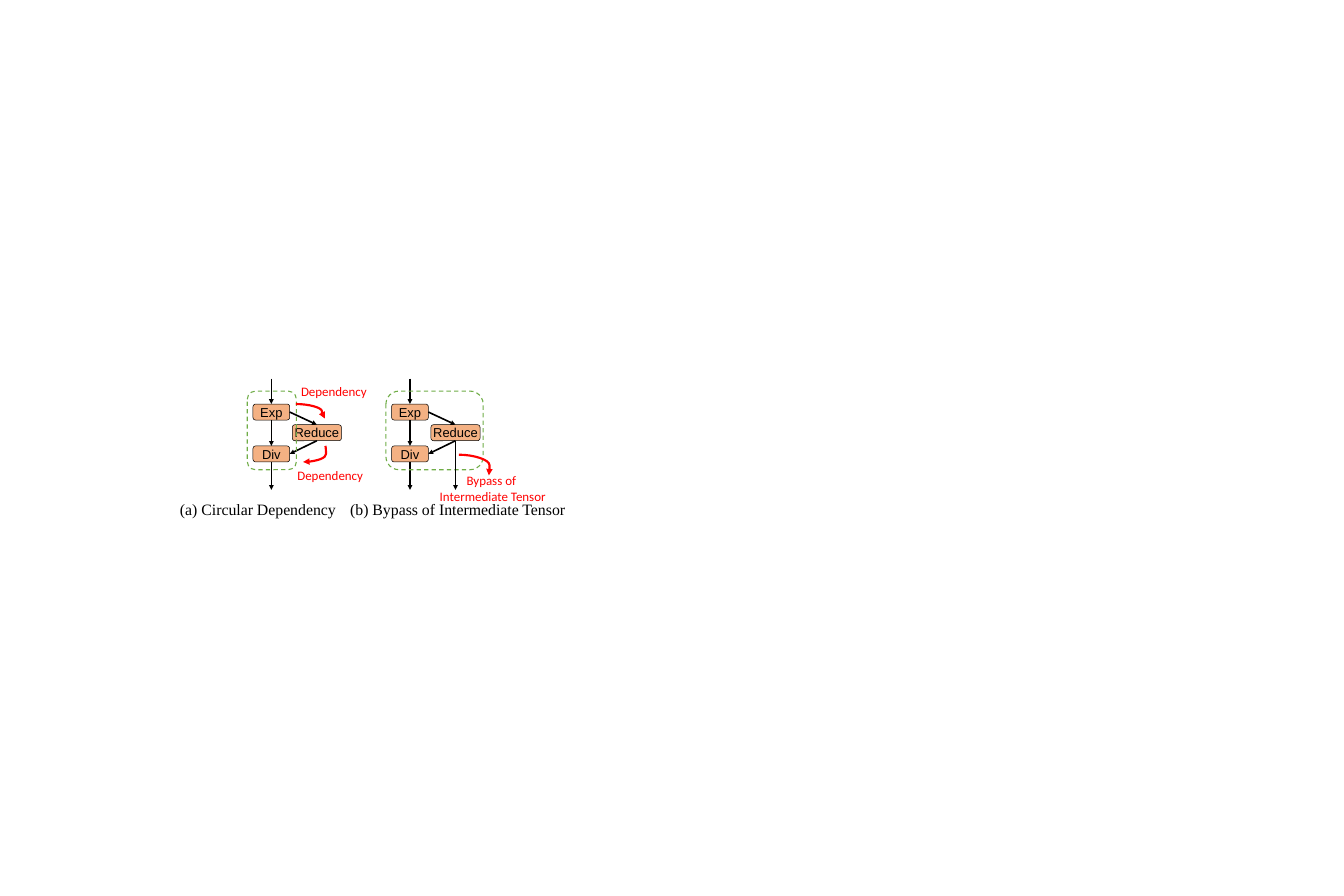
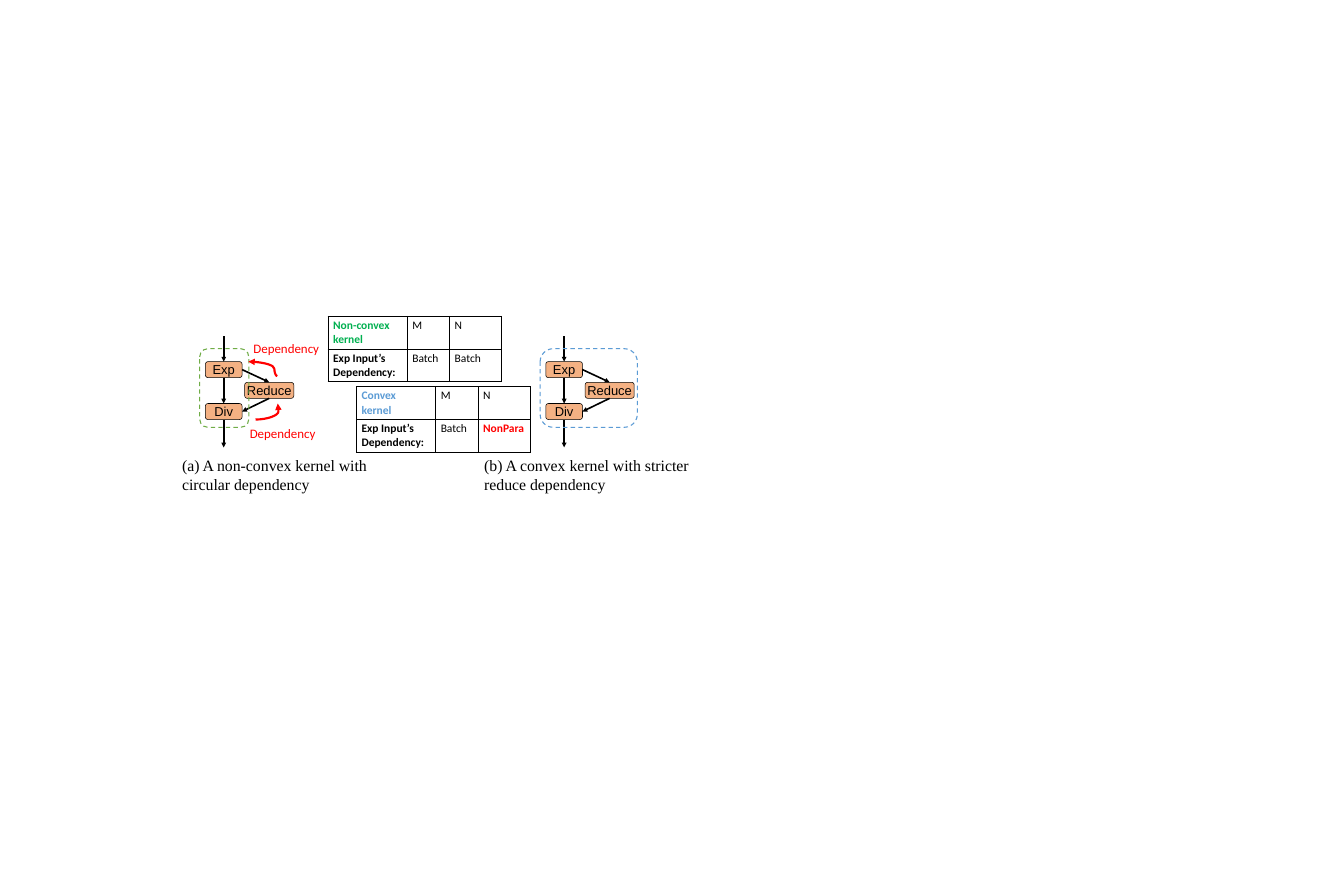
from lxml.etree import SubElement
from pptx import Presentation
from pptx.dml.color import RGBColor
from pptx.enum.dml import MSO_LINE
from pptx.enum.shapes import MSO_CONNECTOR as Connector, MSO_SHAPE
from pptx.enum.text import MSO_ANCHOR, MSO_AUTO_SIZE, PP_ALIGN as Align
from pptx.oxml import parse_xml
from pptx.oxml.ns import nsdecls, qn
from pptx.util import Inches, Pt

BLACK, RED, ORANGE = "000000", "FF0000", "F4B183"
GREEN, BLUE, TITLE_GREEN = "70AD47", "5B9BD5", "00B050"
NODE_FONT = {"name": "Arial", "size": Pt(18)}
NOTE_FONT = {"name": "Calibri", "size": Pt(18)}
CAPTION_FONT = {"name": "Times New Roman", "size": Pt(22)}
CELL_FONT = {"name": "Calibri", "size": Pt(16), "bold": False}
hex_color = RGBColor.from_string

NODE_HEIGHT = 0.31
NARROW, WIDE = 0.95, 1.88
# Offsets from the top left corner of the Exp node: left, top, width
NODES = {"Exp": (0, 0, 0.71), "Div": (0, 0.81, 0.71), "Reduce": (0.76, 0.4, 0.95)}
EDGES = [("Exp", 3, "Reduce", 0), ("Exp", 2, "Div", 0), ("Reduce", 2, "Div", 3)]
# Curve start, curve end, bend, label box, label, alignment
CIRCULAR = [
    ((1.4, 0.81), (0.97, 1.12), -0.03, (0.76, 1.18, 1.49, 0.4), "Dependency", Align.LEFT),
    ((0.83, 0), (1.39, 0.28), 0.9, (0.83, -0.45, 1.49, 0.4), "Dependency", Align.LEFT),
]
BYPASS = [
    ((1.3, 0.98), (1.88, 1.38), 1.02, (0.82, 1.28, 2.27, 0.71),
     "Bypass of \nIntermediate Tensor", Align.CENTER),
]

SLIDES = [
    {
        "kernels": [
            {"origin": (4.89, 7.81), "scope": (NARROW, GREEN), "notes": CIRCULAR,
             "arrow_end": "a:tailEnd", "caption": "(a) Circular Dependency",
             "caption_box": (3.38, 9.61, 3.33, 0.47)},
            {"origin": (7.57, 7.81), "scope": (WIDE, GREEN), "notes": BYPASS,
             "arrow_end": "a:tailEnd", "caption": "(b) Bypass of Intermediate Tensor",
             "caption_box": (6.67, 9.61, 4.41, 0.47)},
        ],
        "tables": [],
    },
    {
        "kernels": [
            {"origin": (3.97, 6.99), "scope": (NARROW, GREEN), "notes": CIRCULAR,
             "arrow_end": "a:headEnd",
             "caption": "(a) A non-convex kernel with circular dependency",
             "caption_box": (3.42, 8.76, 4.25, 0.84)},
            {"origin": (10.55, 6.99), "scope": (WIDE, BLUE), "notes": [],
             "arrow_end": "a:tailEnd",
             "caption": "(b) A convex kernel with stricter reduce dependency",
             "caption_box": (9.26, 8.76, 4.25, 0.84)},
        ],
        "tables": [
            (6.34, 6.11, "Non-convex\nkernel", TITLE_GREEN, "Batch", BLACK),
            (6.89, 7.47, "Convex\nkernel", BLUE, "NonPara", RED),
        ],
    },
]


def write(frame, text, font_format, color=BLACK, align=Align.LEFT):
    """Fill a text frame, one paragraph per line, in a single format."""
    frame.text = text
    for paragraph in frame.paragraphs:
        paragraph.alignment = align
        for run in paragraph.runs:
            for name, value in font_format.items():
                setattr(run.font, name, value)
            run.font.color.rgb = hex_color(color)


def add_arrow(slide, kind, start, end, color=BLACK, width=2.25, arrow_end="a:tailEnd"):
    points = [Inches(value) for value in (*start, *end)]
    arrow = slide.shapes.add_connector(kind, *points)
    arrow.line.color.rgb = hex_color(color)
    arrow.line.width = Pt(width)
    properties = arrow._element.spPr
    SubElement(properties.find(qn("a:ln")), qn(arrow_end), type="triangle")
    SubElement(properties, qn("a:effectLst"))
    return arrow


presentation = Presentation()
presentation.slide_width = Inches(25.98)
presentation.slide_height = Inches(17.32)

for content in SLIDES:
    slide = presentation.slides.add_slide(presentation.slide_layouts[6])

    for kernel in content["kernels"]:
        left, top = kernel["origin"]

        nodes = {}
        for label, (dx, dy, width) in NODES.items():
            node = slide.shapes.add_shape(
                MSO_SHAPE.ROUNDED_RECTANGLE, Inches(left + dx), Inches(top + dy),
                Inches(width), Inches(NODE_HEIGHT))
            node.shadow.inherit = False
            node.fill.solid()
            node.fill.fore_color.rgb = hex_color(ORANGE)
            node.line.color.rgb = hex_color(BLACK)
            node.line.width = Pt(0.75)
            node.text_frame.word_wrap = False
            node.text_frame.vertical_anchor = MSO_ANCHOR.MIDDLE
            write(node.text_frame, label, NODE_FONT, align=Align.CENTER)
            nodes[label] = node

        for source, source_side, target, target_side in EDGES:
            edge = add_arrow(slide, Connector.STRAIGHT, (left, top), (left, top))
            edge.begin_connect(nodes[source], source_side)
            edge.end_connect(nodes[target], target_side)

        stem = left + 0.71 / 2
        bottom = top + 1.66
        output = add_arrow(slide, Connector.STRAIGHT, (stem, top + 1.12), (stem, bottom))
        output.begin_connect(nodes["Div"], 2)
        entry = add_arrow(slide, Connector.STRAIGHT, (stem, top - 0.49), (stem, top))
        entry.end_connect(nodes["Exp"], 0)

        scope_width, scope_color = kernel["scope"]
        scope = slide.shapes.add_shape(
            MSO_SHAPE.ROUNDED_RECTANGLE, Inches(left - 0.11), Inches(top - 0.25),
            Inches(scope_width), Inches(1.52))
        scope.shadow.inherit = False
        scope.fill.background()
        scope.line.color.rgb = hex_color(scope_color)
        scope.line.width = Pt(1.5)
        scope.line.dash_style = MSO_LINE.DASH

        if kernel["notes"] is BYPASS:
            branch = left + 0.76 + 0.95 / 2
            side_output = add_arrow(slide, Connector.STRAIGHT, (branch, top + 0.71), (branch, bottom))
            side_output.begin_connect(nodes["Reduce"], 2)

        texts = [(kernel["caption_box"], kernel["caption"], CAPTION_FONT, BLACK, Align.LEFT)]
        for start, end, bend, (dx, dy, width, height), label, align in kernel["notes"]:
            curve = add_arrow(
                slide, Connector.CURVE, (left + start[0], top + start[1]),
                (left + end[0], top + end[1]), RED, 3, kernel["arrow_end"])
            guides = curve._element.spPr.find(qn("a:prstGeom")).get_or_add_avLst()
            SubElement(guides, qn("a:gd"), name="adj1", fmla=f"val {round(bend * 100000)}")
            texts.append(((left + dx, top + dy, width, height), label, NOTE_FONT, RED, align))

        for box, text, font_format, color, align in texts:
            text_box = slide.shapes.add_textbox(*[Inches(value) for value in box])
            # Only the two-line captions are tall enough to wrap
            text_box.text_frame.word_wrap = font_format is CAPTION_FONT and box[3] > 0.5
            text_box.text_frame.auto_size = MSO_AUTO_SIZE.SHAPE_TO_FIT_TEXT
            write(text_box.text_frame, text, font_format, color, align)

    for left, top, title, title_color, n_dependency, n_color in content["tables"]:
        rows = [
            [(title, title_color, True), ("M", BLACK, False), ("N", BLACK, False)],
            [("Exp Input’s Dependency:", BLACK, True), ("Batch", BLACK, False),
             (n_dependency, n_color, n_color == RED)],
        ]
        table = slide.shapes.add_table(
            2, 3, Inches(left), Inches(top), Inches(3.36), Inches(1.27)).table
        table.first_row = table.horz_banding = False
        for column, width in zip(table.columns, (1.53, 0.82, 1.01)):
            column.width = Inches(width)
        for row, values in zip(table.rows, rows):
            for cell, (text, color, bold) in zip(row.cells, values):
                write(cell.text_frame, text, CELL_FONT | {"bold": bold}, color)
                cell.fill.background()
                properties = cell._tc.get_or_add_tcPr()
                for position, side in enumerate(("lnL", "lnR", "lnT", "lnB")):
                    properties.insert(position, parse_xml(
                        f'<a:{side} {nsdecls("a")} w="{Pt(1)}"><a:solidFill>'
                        f'<a:srgbClr val="{BLACK}"/></a:solidFill></a:{side}>'))

presentation.save("out.pptx")
